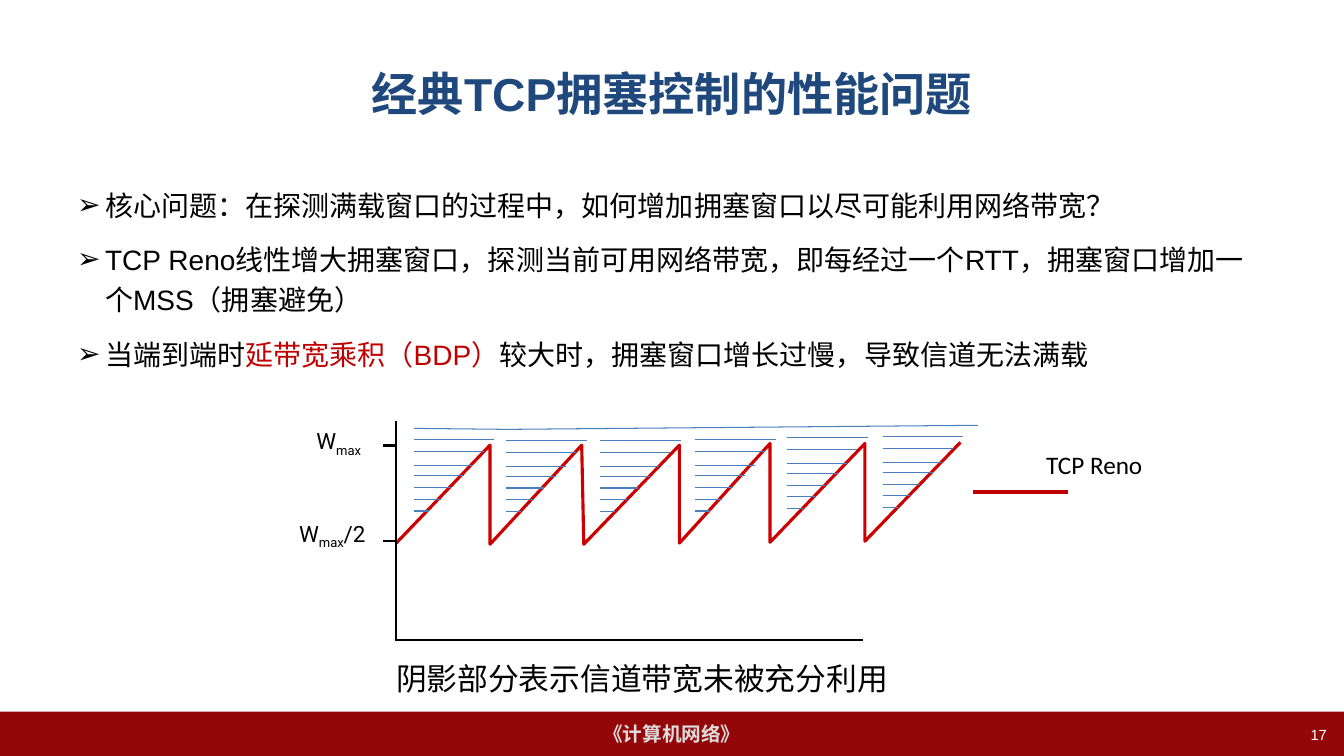
from pptx import Presentation
from pptx.dml.color import RGBColor
from pptx.enum.shapes import MSO_CONNECTOR, MSO_SHAPE
from pptx.enum.text import MSO_ANCHOR, PP_ALIGN
from pptx.oxml.ns import qn
from pptx.util import Pt
from lxml.etree import SubElement

WHITE = RGBColor(0xFF, 0xFF, 0xFF)
BLACK = RGBColor(0, 0, 0)
NAVY = RGBColor(0x1F, 0x49, 0x7D)
CRIMSON = RGBColor(0xC0, 0, 0)
SAW_RED = RGBColor(0xCC, 0, 0)
FOOTER_RED = RGBColor(0x94, 0x07, 0x09)
FOOTER_GREY = RGBColor(0xDD, 0xDD, 0xDD)
HATCH_BLUE = RGBColor(0x4B, 0x7E, 0xBC)
CHINESE_FONT = "Noto Sans CJK SC"

BULLETS = [
    [("核心问题：在探测满载窗口的过程中，如何增加拥塞窗口以尽可能利用网络带宽？", BLACK)],
    [("TCP Reno线性增大拥塞窗口，探测当前可用网络带宽，"
      "即每经过一个RTT，拥塞窗口增加一个MSS（拥塞避免）", BLACK)],
    [("当端到端时", BLACK), ("延带宽乘积（BDP）", CRIMSON),
     ("较大时，拥塞窗口增长过慢，导致信道无法满载", BLACK)],
]
SAWTOOTH = [(283, 388), (350, 318), (350, 388.8), (415.5, 318), (417, 388.8),
            (485.3, 318), (485.3, 388), (550, 316.8), (550, 387.4),
            (617.8, 316.8), (617.8, 386.6), (686, 316)]
TOOTH_CORNERS = [(295.5, 314), (361.5, 314.6), (428.5, 314.6),
                 (496.5, 314), (562.5, 312.5), (630.5, 311.8)]
# Drop below the tooth corner and length of each hatch line
HATCH_ROWS = [(0, 57.6), (8.6, 50), (18.7, 42.5), (25.9, 36),
              (34, 27), (42.5, 19.4), (51, 11)]


def format_span(span, size, color, font="Arial", bold=False):
    span.font.size = Pt(size)
    span.font.name = font
    span.font.bold = bold
    span.font.color.rgb = color
    SubElement(span._r.get_or_add_rPr(), qn("a:ea"), typeface=CHINESE_FONT)


def add_text(page, place, text, size, color, font="Arial", bold=False,
             align=PP_ALIGN.LEFT, anchor=MSO_ANCHOR.TOP, wrap=False):
    box = page.shapes.add_textbox(*map(Pt, place))
    frame = box.text_frame
    frame.word_wrap = wrap
    frame.vertical_anchor = anchor
    frame.text = text
    para = frame.paragraphs[0]
    para.alignment = align
    format_span(para.runs[0], size, color, font, bold)
    return box


def add_axis_label(page, place, suffix=""):
    """Write W with the subscript max, then the suffix."""
    box = add_text(page, place, "W", 16, BLACK, "Roboto")
    para = box.text_frame.paragraphs[0]
    for text, baseline in (("max", "-25000"), (suffix, "0")):
        if text:
            span = para.add_run()
            span.text = text
            format_span(span, 16, BLACK, "Roboto")
            span._r.get_or_add_rPr().set("baseline", baseline)


def add_bullets(page, place):
    frame = page.shapes.add_textbox(*map(Pt, place)).text_frame
    frame.word_wrap = True
    for index, spans in enumerate(BULLETS):
        para = frame.add_paragraph() if index else frame.paragraphs[0]
        para.line_spacing = 1.2
        para.space_before = Pt(10)
        properties = para._p.get_or_add_pPr()
        properties.set("marL", str(Pt(20)))
        properties.set("indent", str(Pt(-20)))
        SubElement(properties, qn("a:buFont"), typeface="Arial")
        SubElement(properties, qn("a:buChar"), char="➢")
        for text, color in spans:
            span = para.add_run()
            span.text = text
            format_span(span, 20, color)


def add_line(page, start, end, color=BLACK, width=1.5):
    line = page.shapes.add_connector(MSO_CONNECTOR.STRAIGHT,
                                     *map(Pt, (*start, *end)))
    line.line.color.rgb = color
    line.line.width = Pt(width)
    SubElement(line._element.spPr, qn("a:effectLst"))


def add_footer(page):
    bar = page.shapes.add_shape(MSO_SHAPE.RECTANGLE, 0, Pt(508.3), Pt(960), Pt(31.7))
    bar.shadow.inherit = False
    bar.fill.solid()
    bar.fill.fore_color.rgb = FOOTER_RED
    bar.line.fill.background()
    frame = bar.text_frame
    frame.word_wrap = False
    frame.vertical_anchor = MSO_ANCHOR.MIDDLE
    frame.text = "《计算机网络》"
    frame.paragraphs[0].alignment = PP_ALIGN.CENTER
    format_span(frame.paragraphs[0].runs[0], 14, FOOTER_GREY, bold=True)
    add_text(page, (730.8, 514.8, 224, 25.2), "17", 10.5, WHITE,
             align=PP_ALIGN.RIGHT, wrap=True)


def add_sawtooth(page):
    builder = page.shapes.build_freeform(*map(Pt, SAWTOOTH[0]))
    builder.add_line_segments([(Pt(x), Pt(y)) for x, y in SAWTOOTH[1:]], close=False)
    curve = builder.convert_to_shape()
    curve.shadow.inherit = False
    curve.fill.background()
    curve.line.color.rgb = SAW_RED
    curve.line.width = Pt(2.25)


def add_axes(page):
    add_line(page, (282.5, 457.2), (616.3, 457.2))
    add_line(page, (283, 301), (283, 458))
    for tick in (318.2, 386.6):
        add_line(page, (273.6, tick), (283, tick))
    add_axis_label(page, (218.9, 301.7, 49, 26.6))
    add_axis_label(page, (206.6, 367.9, 64, 26.6), "/2")


def add_hatching(page):
    """Mark the unused bandwidth above the sawtooth."""
    add_line(page, (295.9, 306), (363, 306.7), HATCH_BLUE, 0.75)
    add_line(page, (363, 306.7), (698.4, 303.8), HATCH_BLUE, 0.75)
    for left, top in TOOTH_CORNERS:
        for drop, length in HATCH_ROWS:
            add_line(page, (left, top + drop), (left + length, top + drop),
                     HATCH_BLUE, 0.75)


def main():
    deck = Presentation()
    deck.slide_width, deck.slide_height = Pt(960), Pt(540)
    page = deck.slides.add_slide(deck.slide_layouts[6])
    add_footer(page)
    add_text(page, (48, 21.6, 864, 90), "经典TCP拥塞控制的性能问题", 33, NAVY, bold=True,
             align=PP_ALIGN.CENTER, anchor=MSO_ANCHOR.MIDDLE, wrap=True)
    add_bullets(page, (48, 126, 864, 356.4))
    add_sawtooth(page)
    add_axes(page)
    add_hatching(page)
    add_text(page, (275.8, 468, 370, 33.8), "阴影部分表示信道带宽未被充分利用",
             22, BLACK, CHINESE_FONT)
    add_line(page, (694.8, 351.4), (763.2, 351.4), CRIMSON, 3)
    add_text(page, (740.2, 317.5, 84.2, 28.8), "TCP Reno", 18, BLACK, "Calibri")
    deck.save("out.pptx")


if __name__ == "__main__":
    main()
